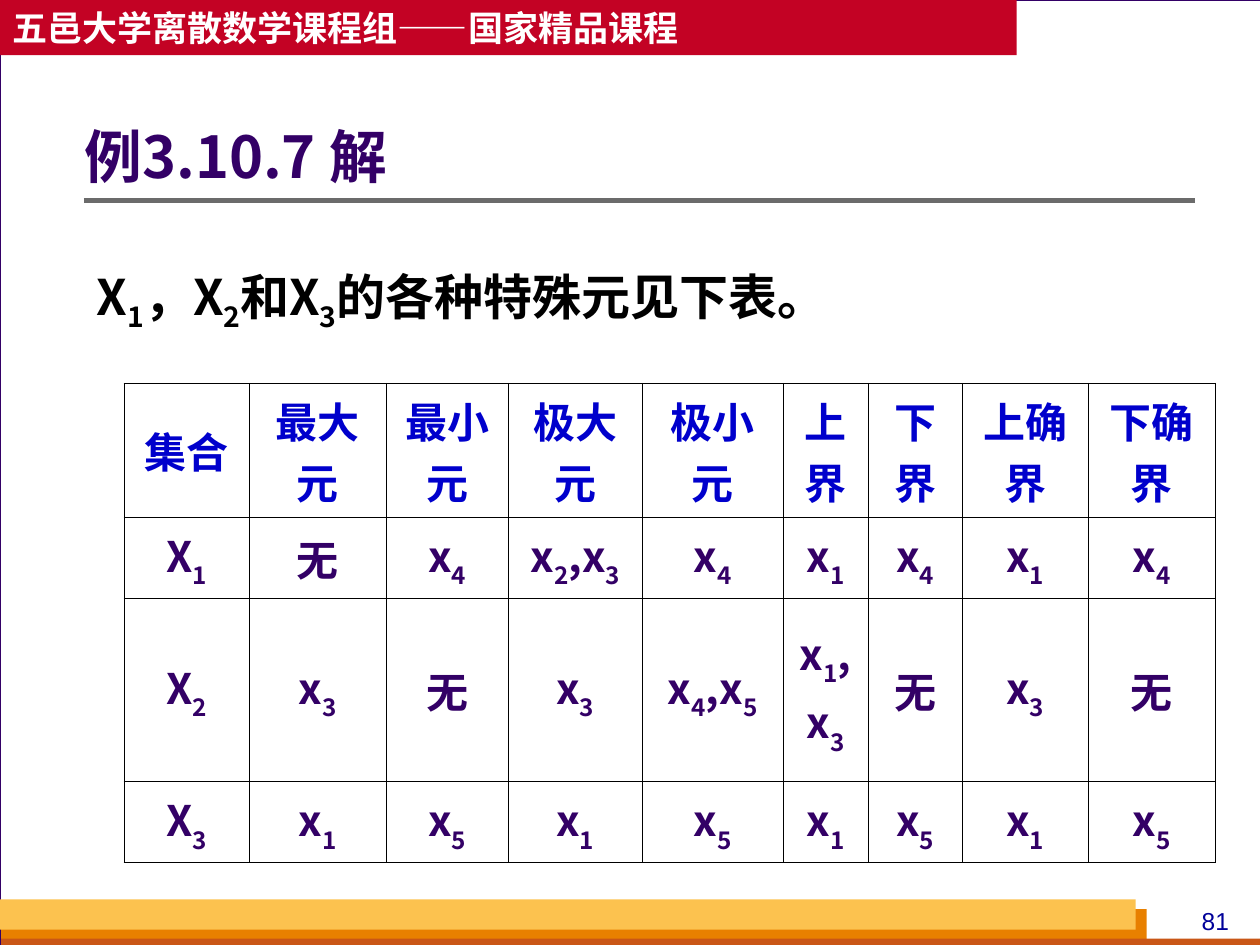
import itertools
import pptx
import pptx.util
import pptx.dml.color
import pptx.enum.shapes
import pptx.enum.text
import pptx.oxml
import pptx.oxml.ns
import lxml.etree

Pt = pptx.util.Pt
ALIGN = pptx.enum.text.PP_ALIGN
ANCHOR = pptx.enum.text.MSO_ANCHOR
HAN = "Noto Sans CJK SC"
COLORS = {
    "back": "D8DADA", "white": "FFFFFF", "purple": "330066", "red": "C30224",
    "orange": "E88000", "rust": "C95616", "gold": "FCC24F", "gray": "6B6B6B",
    "navy": "000099", "blue": "0000CC", "black": "000000",
}
BANDS = [
    ("white", 0, 0, 720.7, 540),
    ("red", 0, 0, 581, 31.5),
    ("orange", 0.7, 519.5, 654.5, 20.2),
    ("rust", 0.7, 536.4, 720, 5.8),
    ("gold", 0, 514, 649, 17.3),
]
BANNER = "五邑大学离散数学课程组——国家精品课程"
TITLE = "例3.10.7 解"
INTRO = "X1，X2和X3的各种特殊元见下表。"
PAGE = "81"
ROWS = [
    ["集合", "最大元", "最小元", "极大元", "极小元", "上界", "下界", "上确界", "下确界"],
    ["X1", "无", "x4", "x2,x3", "x4", "x1", "x4", "x1", "x4"],
    ["X2", "x3", "无", "x3", "x4,x5", "x1,x3", "无", "x3", "无"],
    ["X3", "x1", "x5", "x1", "x5", "x1", "x5", "x1", "x5"],
]
WIDTHS = [71.6, 78.4, 69.7, 76.6, 80.4, 48.6, 53.8, 72, 72.6]
HEIGHTS = [76.6, 46.3, 104.6, 46.3]


def color(name):
    return pptx.dml.color.RGBColor.from_string(COLORS[name])


def style(run, size, tint, face=HAN):
    font = run.font
    font.size, font.bold, font.name = Pt(size), face == HAN, face
    font.color.rgb = color(tint)
    east = lxml.etree.SubElement(font._element, pptx.oxml.ns.qn("a:ea"))
    east.set("typeface", face)


def write(para, text, size, tint, drop):
    for digit, chars in itertools.groupby(text, str.isdigit):
        run = para.add_run()
        run.text = "".join(chars)
        style(run, size, tint)
        if digit:
            run.font._element.set("baseline", str(drop * 1000))


def add_box(slide, left, top, width, height, anchor=ANCHOR.TOP):
    frame = slide.shapes.add_textbox(Pt(left), Pt(top), Pt(width), Pt(height)).text_frame
    frame.word_wrap = True
    frame.vertical_anchor = anchor
    return frame


def add_band(slide, tint, left, top, width, height):
    band = slide.shapes.add_shape(pptx.enum.shapes.MSO_SHAPE.RECTANGLE,
                                  Pt(left), Pt(top), Pt(width), Pt(height))
    band.shadow.inherit = False
    band.fill.solid()
    band.fill.fore_color.rgb = color(tint)
    band.line.fill.background()
    return band


def add_rule(slide, left, right, top):
    rule = slide.shapes.add_connector(pptx.enum.shapes.MSO_CONNECTOR.STRAIGHT,
                                      Pt(left), Pt(top), Pt(right), Pt(top))
    rule.line.color.rgb = color("gray")
    rule.line.width = Pt(3)
    lxml.etree.SubElement(rule._element.spPr, pptx.oxml.ns.qn("a:effectLst"))


def frame_cell(cell):
    props = cell._tc.get_or_add_tcPr()
    for pos, side in enumerate(("lnL", "lnR", "lnT", "lnB")):
        props.insert(pos, pptx.oxml.parse_xml(
            f'<a:{side} {pptx.oxml.ns.nsdecls("a")} w="{Pt(0.45)}"><a:solidFill>'
            f'<a:srgbClr val="{COLORS["black"]}"/></a:solidFill></a:{side}>'))


def add_grid(slide):
    grid = slide.shapes.add_table(len(ROWS), len(WIDTHS), Pt(70.8), Pt(219),
                                  Pt(sum(WIDTHS)), Pt(sum(HEIGHTS))).table
    for col, width in zip(grid.columns, WIDTHS):
        col.width = Pt(width)
    for row, height in zip(grid.rows, HEIGHTS):
        row.height = Pt(height)
    for r, texts in enumerate(ROWS):
        for c, text in enumerate(texts):
            cell = grid.cell(r, c)
            cell.fill.background()
            cell.vertical_anchor = ANCHOR.MIDDLE
            frame_cell(cell)
            para = cell.text_frame.paragraphs[0]
            para.alignment = ALIGN.CENTER
            write(para, text, 24, "purple" if r else "blue", -30)


def main():
    deck = pptx.Presentation()
    deck.slide_width, deck.slide_height = Pt(720), Pt(540)
    slide = deck.slides.add_slide(deck.slide_layouts[6])
    slide.background.fill.solid()
    slide.background.fill.fore_color.rgb = color("back")

    bands = {band[0]: add_band(slide, *band) for band in BANDS}
    edge = bands["white"].line
    edge.color.rgb = color("purple")
    edge.width = Pt(0.75)

    head = bands["red"].text_frame
    head.text = BANNER
    head.word_wrap = False
    head.vertical_anchor = ANCHOR.MIDDLE
    head.paragraphs[0].alignment = ALIGN.LEFT
    style(head.paragraphs[0].runs[0], 20, "white")

    page = add_box(slide, 671.8, 514, 45.4, 24.5)
    page.text = PAGE
    page.paragraphs[0].alignment = ALIGN.CENTER
    style(page.paragraphs[0].runs[0], 14, "navy", "Arial")

    add_rule(slide, 48, 683, 114.5)
    title = add_box(slide, 48.3, 54.7, 635, 72.7, ANCHOR.MIDDLE)
    title.margin_left = 0
    title.text = TITLE
    title.paragraphs[0].line_spacing = 0.9
    style(title.paragraphs[0].runs[0], 33, "purple")

    intro = add_box(slide, 48.2, 141, 635, 361.4).paragraphs[0]
    intro.line_spacing = 1.2
    write(intro, INTRO, 28, "black", -25)
    add_grid(slide)
    deck.save("out.pptx")


if __name__ == "__main__":
    main()
